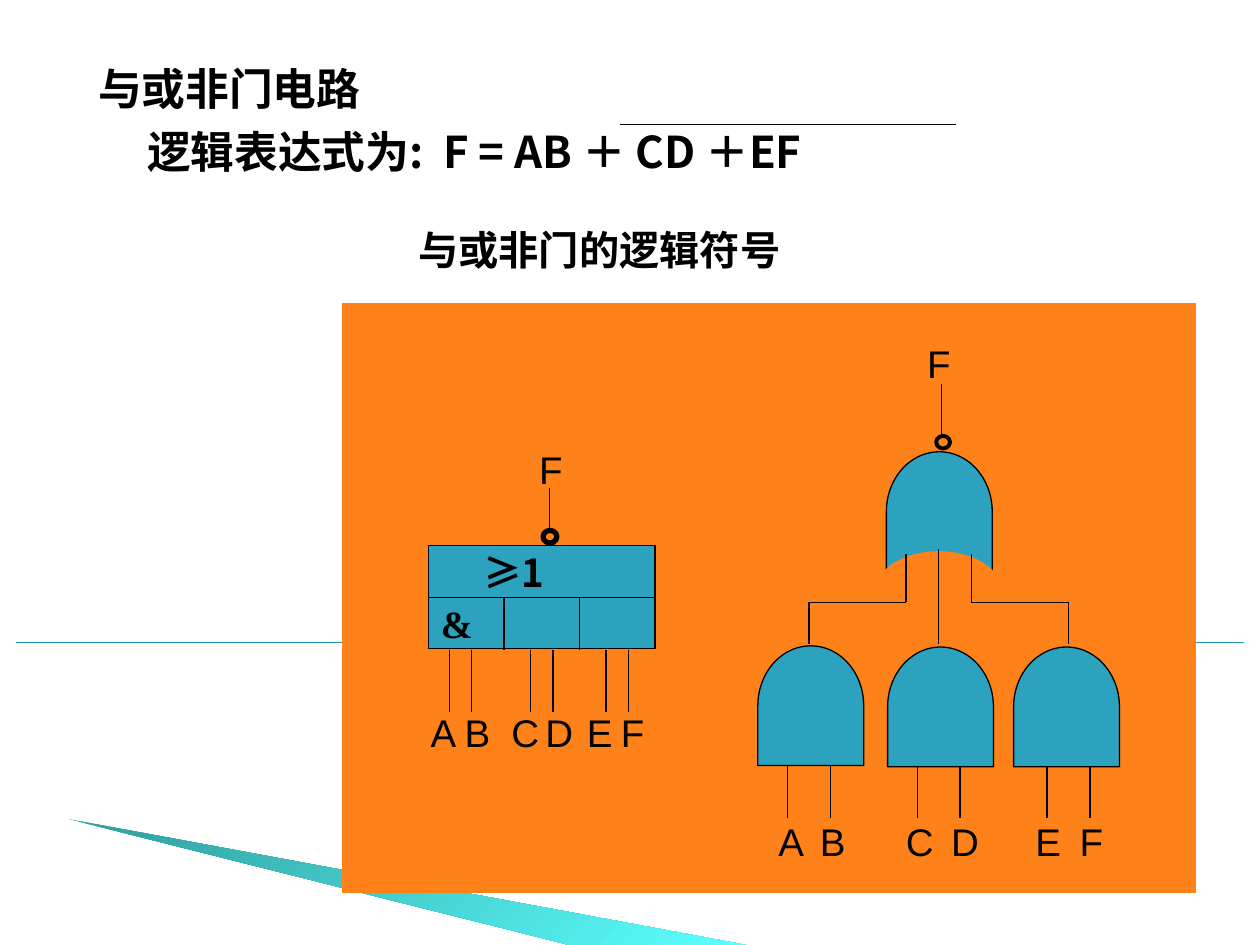
"""Build the AND-OR-INVERT gate slide with its expression and logic symbols."""
from math import cos, pi, sin

from lxml.etree import SubElement
from pptx import Presentation
from pptx.dml.color import RGBColor
from pptx.enum.shapes import MSO_CONNECTOR, MSO_SHAPE
from pptx.enum.text import MSO_ANCHOR
from pptx.oxml.ns import qn
from pptx.util import Inches, Pt

BLACK, TEAL, ORANGE = "000000", "2DA2BF", "FF8119"
CHINESE_FONT = "Noto Sans CJK SC"
color = RGBColor.from_string


def add_text(left, top, width, height, lines, size=22, font="Arial", bold=False, wrap=False):
    box = slide.shapes.add_textbox(Inches(left), Inches(top), Inches(width), Inches(height))
    frame = box.text_frame
    frame.word_wrap = wrap
    for index, (text, indent) in enumerate(lines):
        paragraph = frame.paragraphs[0] if index == 0 else frame.add_paragraph()
        paragraph._p.get_or_add_pPr().set("marL", str(Inches(indent)))
        run = paragraph.add_run()
        run.text = text
        run.font.size = Pt(size)
        run.font.name = font
        run.font.bold = bold
        run.font.color.rgb = color(BLACK)
        SubElement(run._r.get_or_add_rPr(), qn("a:ea")).set("typeface", font)
    return frame


def add_line(x1, y1, x2, y2, line_color=BLACK):
    connector = slide.shapes.add_connector(
        MSO_CONNECTOR.STRAIGHT, Inches(x1), Inches(y1), Inches(x2), Inches(y2))
    connector.line.color.rgb = color(line_color)
    connector.line.width = Pt(0.75)
    SubElement(connector._element.spPr, qn("a:effectLst"))
    return connector


presentation = Presentation()
presentation.slide_width, presentation.slide_height = Inches(10), Inches(7.5)
slide = presentation.slides.add_slide(presentation.slide_layouts[6])

add_line(0.13, 5.1, 9.87, 5.1, "2090B0")
builder = slide.shapes.build_freeform(Inches(0.54), Inches(6.5), scale=1.0)
builder.add_line_segments([(Inches(5.92), Inches(7.5)), (Inches(4.52), Inches(7.5))])
wedge = builder.convert_to_shape()
wedge.shadow.inherit = False
wedge.line.fill.background()
wedge.fill.gradient()
wedge.fill.gradient_angle = 315
for stop, stop_color, position in zip(wedge.fill.gradient_stops, ("319C9C", "5BFFFF"), (0, 1)):
    stop.color.rgb = color(stop_color)
    stop.position = position

title = add_text(0.68, 0.24, 8.5, 1.33,
                 [("与或非门电路", 0), ("逻辑表达式为:  F = AB ＋ CD ＋EF", 0.39)],
                 25, CHINESE_FONT, True, True)
title.vertical_anchor = MSO_ANCHOR.MIDDLE
for paragraph in title.paragraphs:
    paragraph.line_spacing = 1.2
add_line(4.92, 0.99, 7.59, 0.99)
add_text(3.1, 1.74, 4.5, 0.67, [("与或非门的逻辑符号", 0.12)], 23, CHINESE_FONT, True, True)

solid_shapes = [
    (MSO_SHAPE.RECTANGLE, 2.72, 2.41, 6.77, 4.67, ORANGE, ORANGE, 0),
    (MSO_SHAPE.RECTANGLE, 3.4, 4.33, 1.8, 0.82, TEAL, BLACK, 0),
]
for left, top in ((5.96, 5.18), (6.99, 5.19), (7.99, 5.19), (6.98, 3.64)):
    solid_shapes.append((MSO_SHAPE.FLOWCHART_DELAY, left, top, 0.95, 0.84, TEAL, BLACK, 270))
for kind, left, top, width, height, fill, outline, rotation in solid_shapes:
    shape = slide.shapes.add_shape(kind, Inches(left), Inches(top), Inches(width), Inches(height))
    shape.shadow.inherit = False
    shape.fill.solid()
    shape.fill.fore_color.rgb = color(fill)
    shape.line.color.rgb = color(outline)
    shape.line.width = Pt(0.75)
    shape.rotation = rotation
    if fill == TEAL and kind == MSO_SHAPE.RECTANGLE:
        block = shape

for left, top, weight in ((4.31, 4.21, 3), (7.43, 3.46, 2.25)):
    bubble = slide.shapes.add_shape(
        MSO_SHAPE.OVAL, Inches(left), Inches(top), Inches(0.11), Inches(0.1))
    bubble.shadow.inherit = False
    bubble.fill.background()
    bubble.line.color.rgb = color(BLACK)
    bubble.line.width = Pt(weight)

angles = [pi * step / 24 for step in range(25)]
arc = [(7.45 - 0.49 * cos(angle), 4.68 - 0.3 * sin(angle)) for angle in angles]
arc += [(7.45 + 0.49 * cos(angle), 4.68 - 0.13 * sin(angle)) for angle in angles]
points = [(Inches(x), Inches(y)) for x, y in arc]
builder = slide.shapes.build_freeform(*points[0], scale=1.0)
builder.add_line_segments(points[1:])
crescent = builder.convert_to_shape()
crescent.shadow.inherit = False
crescent.fill.solid()
crescent.fill.fore_color.rgb = color(ORANGE)
crescent.line.color.rgb = color(ORANGE)
crescent.line.width = Pt(0.75)

divider = add_line(3.4, 4.74, 5.2, 4.74)
divider.begin_connect(block, 1)
divider.end_connect(block, 3)
for x in (4, 4.6):
    add_line(x, 4.74, x, 5.16)
add_line(4.36, 3.87, 4.36, 4.2)
for x in (3.57, 3.74, 4.21, 4.39, 4.81, 4.99):
    add_line(x, 5.16, x, 5.65)
add_text(3.74, 4.31, 0.9, 0.47, [("≥1", 0)], 22, CHINESE_FONT, True, True)
add_text(3.4, 4.71, 0.43, 0.47, [("&", 0)], 22, "Times New Roman", True, True)

add_line(7.47, 3.46, 7.47, 3.05)
for outer, inner in ((6.42, 7.19), (8.48, 7.71)):
    add_line(outer, 4.78, inner, 4.78)
    add_line(outer, 4.78, outer, 5.11)
    add_line(inner, 4.78, inner, 4.4)
add_line(7.45, 5.11, 7.45, 4.36)
for center in (6.42, 7.45, 8.48):
    for x in (center - 0.17, center + 0.17):
        add_line(x, 6.08, x, 6.49)

for top, letters, lefts in (
    (3.49, "F", (4.18,)),
    (2.65, "F", (7.26,)),
    (5.58, "ABCDEF", (3.32, 3.59, 3.96, 4.23, 4.56, 4.83)),
    (6.44, "ABCDEF", (6.08, 6.41, 7.09, 7.45, 8.12, 8.47)),
):
    for letter, left in zip(letters, lefts):
        add_text(left, top, 0.42 if letter in "CD" else 0.4, 0.47, [(letter, 0)])

presentation.save("out.pptx")
